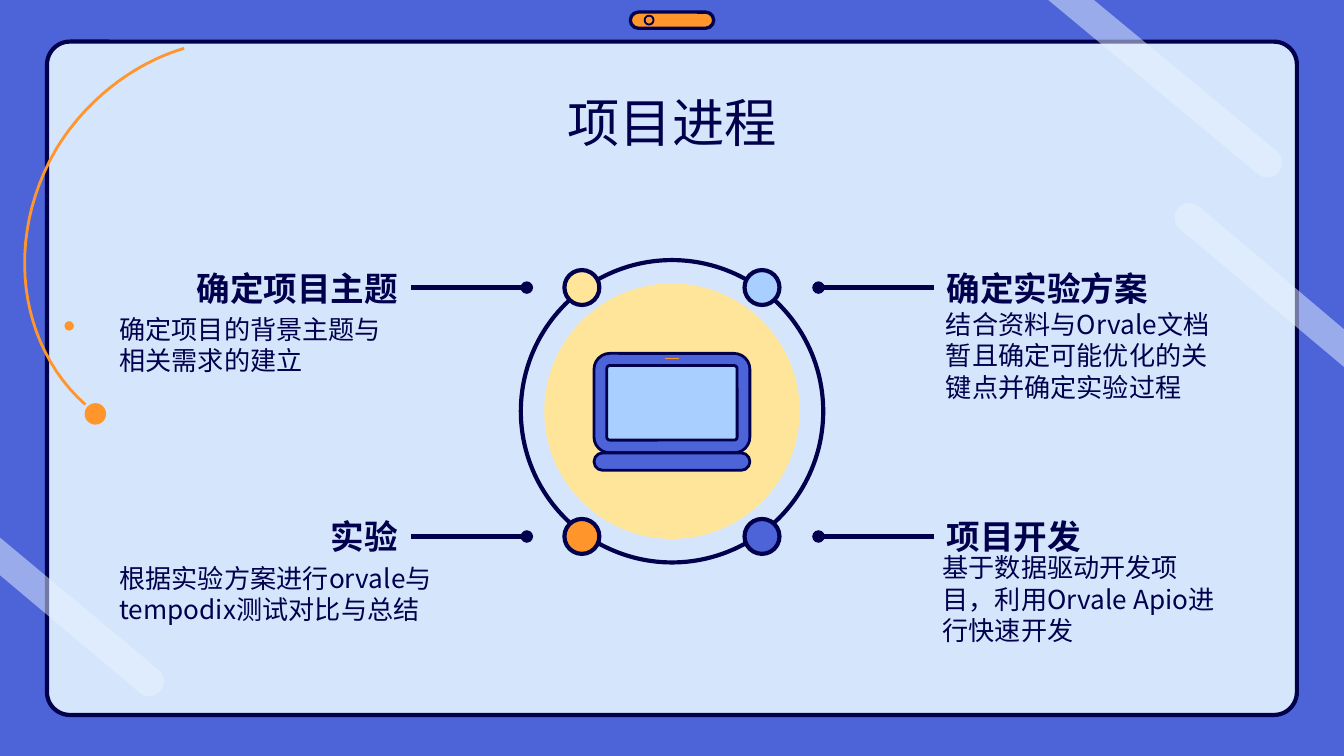
from math import cos, sin, radians
from lxml.etree import SubElement
from pptx import Presentation
from pptx.dml.color import RGBColor
from pptx.enum.shapes import MSO_CONNECTOR as Link, MSO_SHAPE as Kind
from pptx.enum.text import MSO_ANCHOR as Anchor, PP_ALIGN as Align
from pptx.oxml.ns import qn
from pptx.util import Inches, Pt

# The slide is a grid of square cells: 100 columns by 56.25 rows.
CELL = Inches(0.1)
COLS, ROWS = 100, 56.25
FONT = "Noto Sans CJK SC"
HUES = {
    "blue": "4C64D8", "pale": "D5E6FC", "navy": "00004D", "orange": "FF952B",
    "cream": "FFE599", "sky": "A8CFFF", "beam": "E9F3FF",
}


def grid(*cells):
    return [round(cell * CELL) for cell in cells]


def hue(name):
    return RGBColor.from_string(HUES[name])


def paint(shape, fill=None, line=None, width=2.25):
    shape.shadow.inherit = False
    if fill:
        shape.fill.solid()
        shape.fill.fore_color.rgb = hue(fill)
    else:
        shape.fill.background()
    if line:
        shape.line.color.rgb = hue(line)
        shape.line.width = Pt(width)
    else:
        shape.line.fill.background()


def disc(slide, x, y, size, fill=None, line=None, width=2.25):
    """Circle of the given diameter, centred on x, y."""
    left, top = x - size / 2, y - size / 2
    shape = slide.shapes.add_shape(Kind.OVAL, *grid(left, top, size, size))
    paint(shape, fill, line, width)


def panel(slide, box, fill, round_by, width):
    shape = slide.shapes.add_shape(Kind.ROUNDED_RECTANGLE, *grid(*box))
    shape.adjustments[0] = round_by
    paint(shape, fill, "navy", width)


def outline(slide, dots, close):
    first, *rest = [grid(*dot) for dot in dots]
    pen = slide.shapes.build_freeform(*first)
    pen.add_line_segments(rest, close=close)
    return pen.convert_to_shape()


def beam(slide, start, hub, end, turn):
    """Half-clear band from one slide edge to a round cap at hub."""
    x, y = hub
    angles = [radians(turn + 90 - step) for step in range(0, 181, 10)]
    cap = [(x + 1.1 * cos(a), y + 1.1 * sin(a)) for a in angles]
    shape = outline(slide, [start, *cap, end], True)
    paint(shape, "beam")
    tint = shape._element.spPr.find(qn("a:solidFill"))[0]
    SubElement(tint, qn("a:alpha")).set("val", "50000")


def curve(a, b, c, d, steps=24):
    """Points along a cubic curve."""
    dots = []
    for step in range(steps + 1):
        t = step / steps
        u = 1 - t
        parts = (u ** 3, 3 * u * u * t, 3 * u * t * t, t ** 3)
        dots.append(tuple(sum(k * p[i] for k, p in zip(parts, (a, b, c, d)))
                          for i in (0, 1)))
    return dots


def line(slide, ends, color, width, dot=False):
    link = slide.shapes.add_connector(Link.STRAIGHT, *grid(*ends))
    link.line.color.rgb = hue(color)
    link.line.width = Pt(width)
    if dot:
        stroke = link._element.spPr.find(qn("a:ln"))
        SubElement(stroke, qn("a:tailEnd")).set("type", "oval")
    SubElement(link._element.spPr, qn("a:effectLst"))


def write(slide, box, words, size, bold=False, align=Align.LEFT, pitch=None):
    frame = slide.shapes.add_textbox(*grid(*box)).text_frame
    frame.word_wrap = True
    frame.vertical_anchor = Anchor.MIDDLE
    frame.margin_left = frame.margin_right = CELL
    frame.margin_top = frame.margin_bottom = CELL
    para = frame.paragraphs[0]
    para.text = words
    para.alignment = align
    if pitch:
        para.line_spacing = Pt(pitch)
    font = para.font
    font.name, font.size, font.bold = FONT, Pt(size), bold
    font.color.rgb = hue("navy")
    props = para._p.pPr
    props.set("hangingPunct", "0")
    SubElement(props.find(qn("a:defRPr")), qn("a:ea")).set("typeface", FONT)


def decor(slide):
    panel(slide, (3.5, 3.1, 93, 50.1), "pale", 0.034, 2.25)
    panel(slide, (46.9, 0.9, 6.2, 1.2), "orange", 0.5, 1.75)
    disc(slide, 48.3, 1.5, 0.66, line="navy", width=1)
    arc = curve((6.35, 30.1), (1.4, 25.7), (0.3, 17.8), (4.15, 11.15))
    arc += curve((4.15, 11.15), (6.4, 7.4), (10, 4.7), (13.7, 3.6))[1:]
    paint(outline(slide, arc, False), line="orange", width=1.5)
    disc(slide, 5.15, 24.25, 0.7, "orange")
    disc(slide, 7.1, 30.8, 1.6, "orange")
    beam(slide, (78, 0), (94.3, 12.1), (81.4, 0), 40)
    beam(slide, (0, 42.8), (11.1, 50.7), (0, 40), 40)
    beam(slide, (COLS, 24.5), (88.5, 16.2), (COLS, 27.3), 220)


def hub(slide):
    disc(slide, 50, 30.6, 19, "cream")
    disc(slide, 50, 30.6, 22.5, line="navy")
    panel(slide, (44.2, 26.3, 11.6, 7.4), "blue", 0.16, 1.5)
    panel(slide, (45.15, 27.2, 9.7, 5.55), "sky", 0.04, 1.5)
    line(slide, (49.5, 26.7, 50.5, 26.7), "orange", 0.75)
    panel(slide, (44.2, 33.7, 11.6, 1.3), "blue", 0.5, 1.5)


def stage(slide, side, row, color, head, note, box):
    """One step: side is -1 left of the hub, 1 right of it."""
    mid = COLS / 2
    write(slide, box, note, 14, pitch=16.8)
    left, align = (7.9, Align.RIGHT) if side < 0 else (69.45, Align.LEFT)
    write(slide, (left, row - 1.95, 22.7, 3.9), head, 18, True, align)
    near, far = [mid + 0.05 + side * reach for reach in (10.85, 19.45)]
    line(slide, (far, row, near, row), "navy", 2.25, True)
    disc(slide, mid + side * 6.7, row, 2.6, color, "navy")


def main():
    deck = Presentation()
    deck.slide_width, deck.slide_height = grid(COLS, ROWS)
    slide = deck.slides.add_slide(deck.slide_layouts[6])
    slide.background.fill.solid()
    slide.background.fill.fore_color.rgb = hue("blue")
    decor(slide)
    write(slide, (7.9, 5.9, 84.2, 6.3), "项目进程", 28, align=Align.CENTER)
    hub(slide)
    upper, lower = 21.4, 39.92
    steps = [
        (-1, upper, "cream", "确定项目主题",
         "确定项目的背景主题与相关需求的建立", (7.9, 22.4, 22.7, 6.5)),
        (1, upper, "sky", "确定实验方案",
         "结合资料与Orvale文档暂且确定可能优化的关键点并确定实验过程",
         (69.4, 23.2, 22.7, 6.5)),
        (-1, lower, "orange", "实验",
         "根据实验方案进行orvale与tempodix测试对比与总结",
         (7.9, 40.9, 25.9, 6.5)),
        (1, lower, "blue", "项目开发",
         "基于数据驱动开发项目，利用Orvale Apio进行快速开发",
         (69.15, 41.3, 22.7, 6.5)),
    ]
    for step in steps:
        stage(slide, *step)
    deck.save("out.pptx")


if __name__ == "__main__":
    main()
